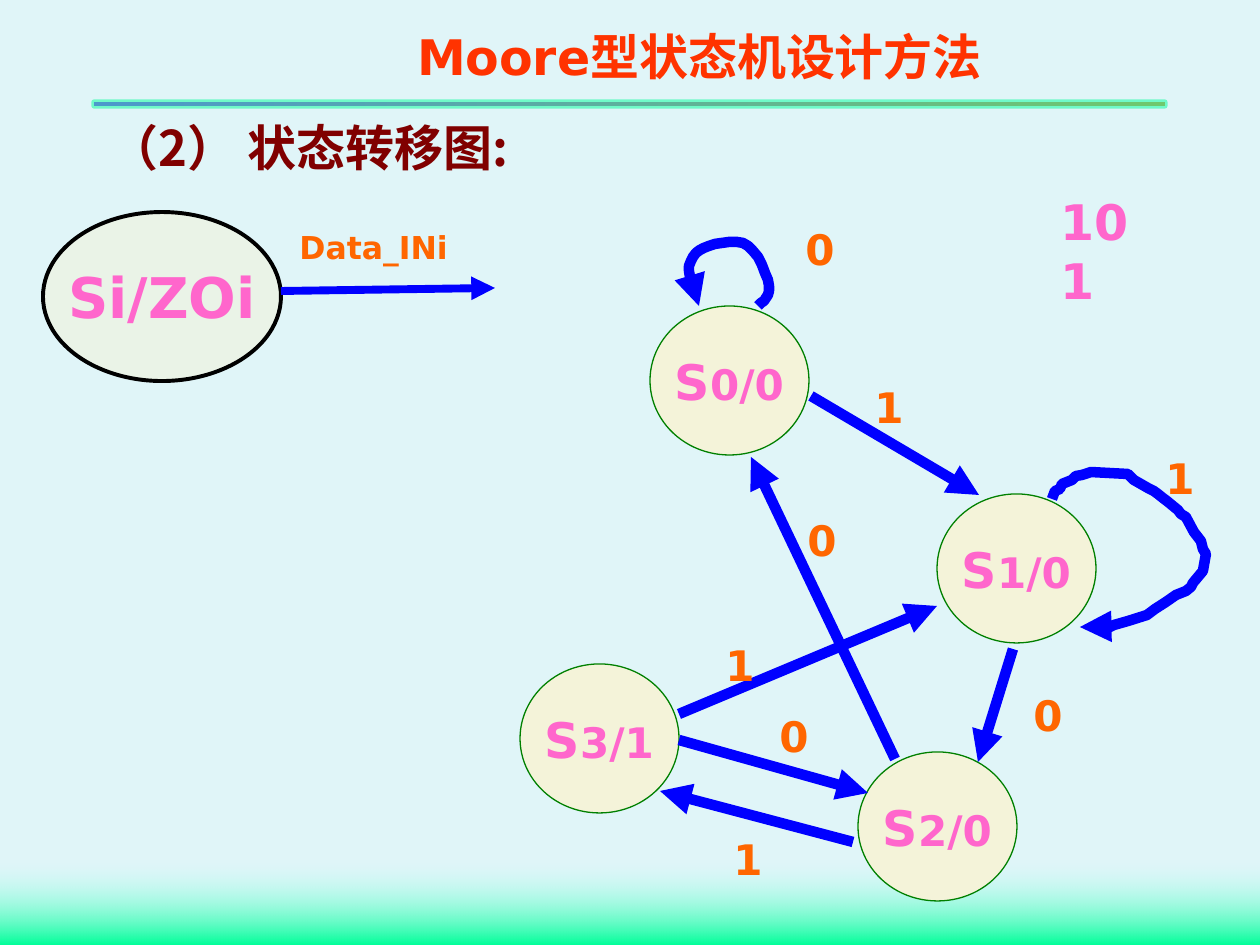
from lxml.etree import SubElement
from pptx import Presentation
from pptx.dml.color import RGBColor as Rgb
from pptx.enum.shapes import MSO_CONNECTOR as Conn, MSO_SHAPE as Kind
from pptx.enum.text import MSO_ANCHOR as Anchor, MSO_AUTO_SIZE as Auto, PP_ALIGN as Align
from pptx.oxml.ns import qn
from pptx.util import Pt

PX = 914400 / 126
SANS, CJK = "DejaVu Sans", "Noto Sans CJK SC"
HUES = {
    "back": "E0F5F8", "head": "FF3300", "title": "800000", "state": "FF66CC",
    "label": "FF6600", "arrow": "0000FF", "node": "F4F3D9", "rim": "008000",
    "black": "000000", "mint": "00FF99", "ice": "CCFFFF", "violet": "9933FF",
    "amber": "E09142",
}
NODE_W, NODE_H = 159, 149
NODES = {"S0/0": (130, 106), "S1/0": (417, 294), "S2/0": (338, 552), "S3/1": (0, 464)}
EDGES = [  # arrow start and end, then label text and its corner
    ((291, 196), (459, 295), "1", (342, 175)),
    ((493, 449), (458, 562), "0", (501, 483)),
    ((333, 642), (140, 591), "1", (201, 627)),
    ((375, 559), (231, 257), "0", (275, 308)),
    ((159, 514), (417, 406), "1", (193, 433)),
    ((159, 540), (348, 593), "0", (247, 504)),
]
LOOP0 = [  # Bezier points, from the corner of S0
    (108, 0), (115, -5), (120, -10), (119, -20), (117, -30), (109, -53), (98, -60),
    (90, -67), (69, -63), (59, -60), (49, -57), (42, -50), (39, -40),
    (38, -30), (43, -15), (49, 0),
]
LOOP1 = [  # corner points, from the corner of S1
    (115, 5), (118, -3), (123, -5), (125, -10), (135, -14), (139, -18), (145, -19),
    (154, -22), (191, -20), (197, -14), (211, -6), (217, -3), (221, 0), (226, 4),
    (230, 7), (241, 16), (244, 20), (249, 23), (257, 38), (264, 47), (266, 55),
    (269, 60), (266, 77), (256, 89), (254, 93), (249, 97), (239, 101), (229, 108),
    (218, 115), (210, 121), (191, 127), (177, 131), (173, 133), (143, 133),
]


def emu(*vals):
    return [round(v * PX) for v in vals]


def hue(name):
    return Rgb.from_string(HUES[name])


def fade(shape, name, part):
    """Give every use of one colour in the shape an opacity in percent."""
    for node in shape._element.spPr.iter(qn("a:srgbClr")):
        if node.get("val") == HUES[name]:
            SubElement(node, qn("a:alpha")).set("val", str(part * 1000))


def write(shape, runs, color, font=SANS, align=Align.LEFT, **form):
    """Fill a shape with runs of (text, size)."""
    frame = shape.text_frame
    form = {"word_wrap": True, "auto_size": Auto.NONE, "vertical_anchor": Anchor.TOP, **form}
    for key, val in form.items():
        setattr(frame, key, val)
    para = frame.paragraphs[0]
    para.alignment = align
    for text, size in runs:
        run = para.add_run()
        run.text = text
        for key, val in {"size": Pt(size), "name": font, "bold": True}.items():
            setattr(run.font, key, val)
        run.font.color.rgb = hue(color)
        SubElement(run._r.rPr, qn("a:ea")).set("typeface", CJK)


def label(slide, box, text, size, color, align=Align.LEFT):
    write(slide.shapes.add_textbox(*emu(*box)), [(text, size)], color, align=align)


def oval(slide, box, runs, rim, width):
    shape = slide.shapes.add_shape(Kind.OVAL, *emu(*box))
    shape.shadow.inherit = False
    shape.fill.solid()
    shape.fill.fore_color.rgb = hue("node")
    shape.line.color.rgb = hue(rim)
    shape.line.width = Pt(width)
    write(shape, runs, "state", align=Align.CENTER, word_wrap=False,
          vertical_anchor=Anchor.MIDDLE)
    return shape


def point(shape, width):
    """Style a line and put an arrowhead at its end."""
    shape.line.color.rgb = hue("arrow")
    shape.line.width = Pt(width)
    SubElement(shape.line._get_or_add_ln(), qn("a:tailEnd")).set("type", "triangle")


def arrow(slide, start, end, width=6):
    line = slide.shapes.add_connector(Conn.STRAIGHT, *emu(*start, *end))
    point(line, width)
    SubElement(line._element.spPr, qn("a:effectLst"))


def bend(pts, steps=6):
    """Turn chained cubic Bezier points into points along the curve."""
    out = [pts[0]]
    for i in range(0, len(pts) - 1, 3):
        for n in range(1, steps + 1):
            t = n / steps
            u = 1 - t
            mix = (u ** 3, 3 * u * u * t, 3 * u * t * t, t ** 3)
            out.append(tuple(sum(m * p[k] for m, p in zip(mix, pts[i:i + 4]))
                             for k in (0, 1)))
    return out


def loop(slide, x, y, pts):
    pts = [(x + a, y + b) for a, b in pts]
    form = slide.shapes.build_freeform(*pts[0], scale=PX)
    form.add_line_segments(pts[1:], close=False)
    shape = form.convert_to_shape()
    shape.shadow.inherit = False
    shape.fill.background()
    point(shape, 6)


def band(slide, box, first, last, angle):
    shape = slide.shapes.add_shape(Kind.RECTANGLE, *emu(*box))
    shape.shadow.inherit = False
    shape.fill.gradient()
    shape.fill.gradient_angle = angle
    for stop, name, place in zip(shape.fill.gradient_stops, (first, last), (0, 1)):
        stop.color.rgb = hue(name)
        stop.position = place
    shape.line.fill.background()
    return shape


def frame(slide):
    slide.background.fill.solid()
    slide.background.fill.fore_color.rgb = hue("back")
    foot = band(slide, (0, 861, 1260, 84), "ice", "mint", 270)
    fade(foot, "ice", 0)
    rule = band(slide, (94, 102, 1071, 4), "violet", "amber", 0)
    rule.line.color.rgb = hue("mint")
    rule.line.width = Pt(3)
    fade(rule, "mint", 50)


def heads(slide):
    title = slide.shapes.title
    title.left, title.top, title.width, title.height = emu(97, 111, 536, 131)
    write(title, [("（2） 状态转移图:", 28)], "title", CJK)
    label(slide, (270, 20, 859, 72), "Moore型状态机设计方法", 28, "head", Align.CENTER)
    label(slide, (1048, 185, 108, 72), "101", 28, "state")


def legend(slide, x, y):
    shape = oval(slide, (x, y, 238, 169), [("Si/ZOi", 32)], "black", 2.25)
    fade(shape, "node", 53)
    arrow(slide, (x + 238, y + 79), (x + 452, y + 76), 4.5)
    label(slide, (x + 244, y + 10, 266, 50), "Data_INi", 18, "label")


def graph(slide, x, y):
    def tag(text, a, b):
        label(slide, (x + a, y + b, 49, 63), text, 24, "label")

    for name, (a, b) in NODES.items():
        runs = [(name[0], 28), (name[1:], 24)]
        oval(slide, (x + a, y + b, NODE_W, NODE_H), runs, "rim", 0.75)
    for (a, b), (c, d), text, spot in EDGES:
        arrow(slide, (x + a, y + b), (x + c, y + d))
        tag(text, *spot)
    for name, pts, text, spot in (("S0/0", bend(LOOP0), "0", (273, 17)),
                                  ("S1/0", LOOP1, "1", (633, 246))):
        a, b = NODES[name]
        loop(slide, x + a, y + b, pts)
        tag(text, *spot)


def main():
    deck = Presentation()
    deck.slide_width, deck.slide_height = emu(1260, 945)
    slide = deck.slides.add_slide(deck.slide_layouts[5])
    frame(slide)
    heads(slide)
    legend(slide, 43, 212)
    graph(slide, 520, 200)
    deck.save("out.pptx")


if __name__ == "__main__":
    main()
